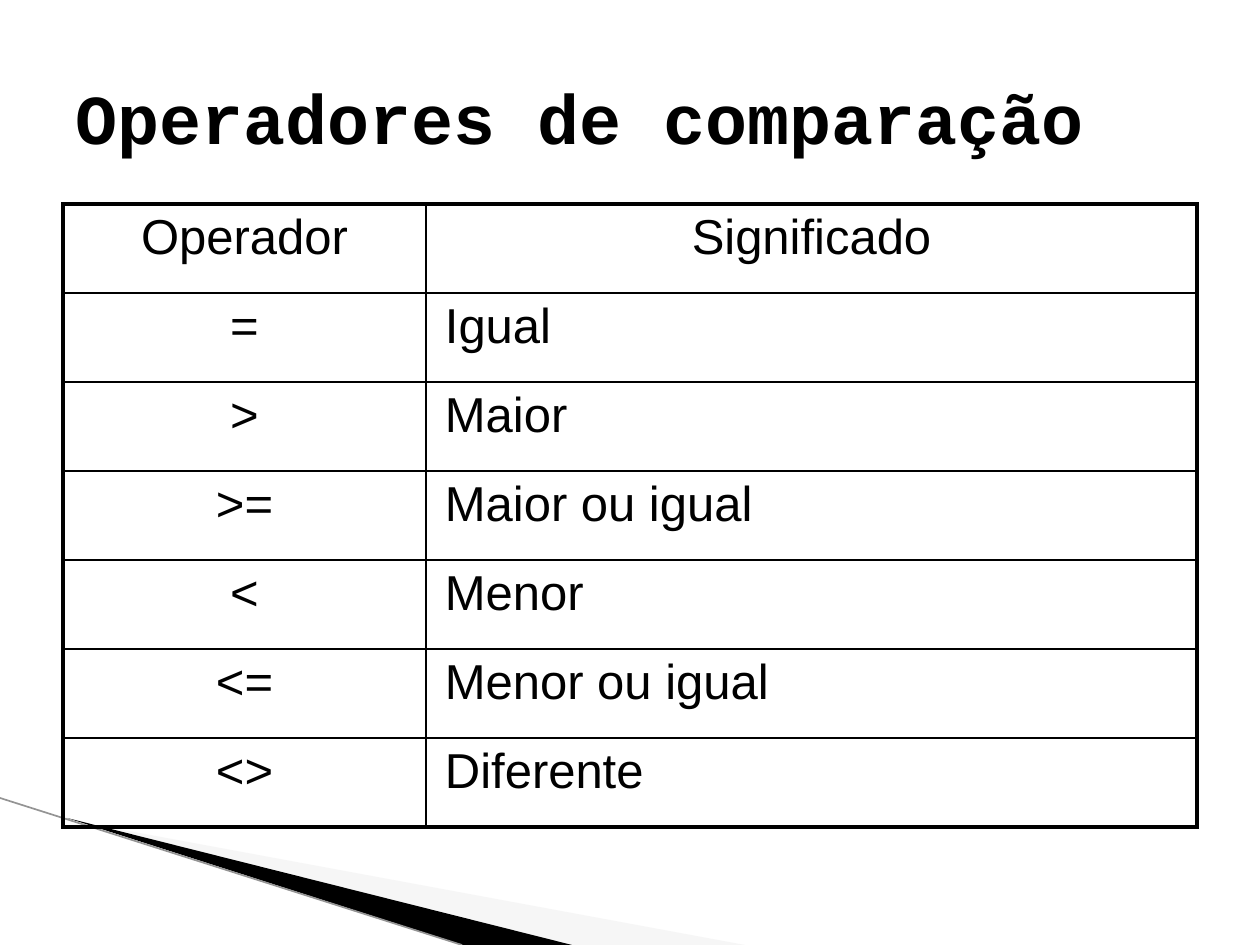
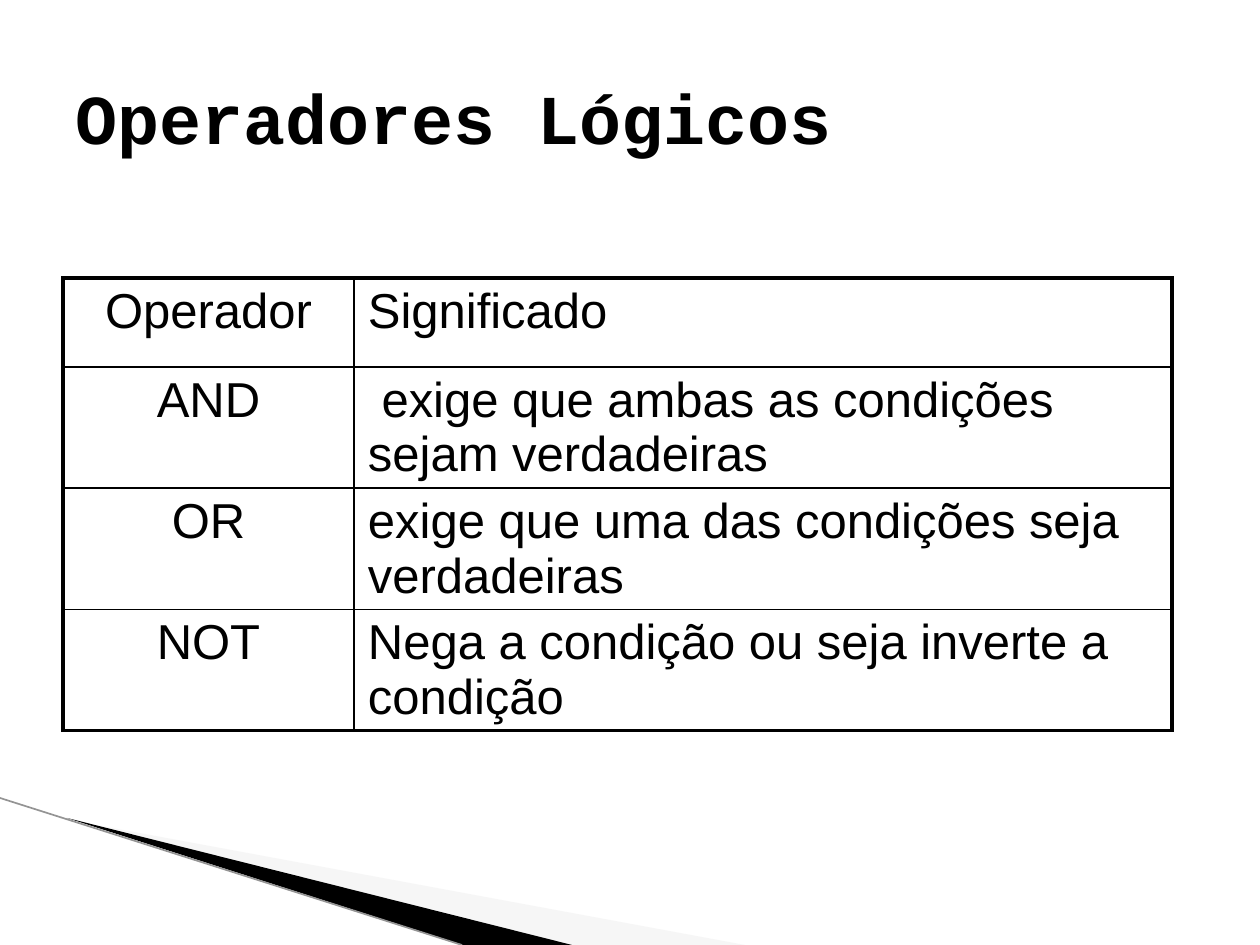
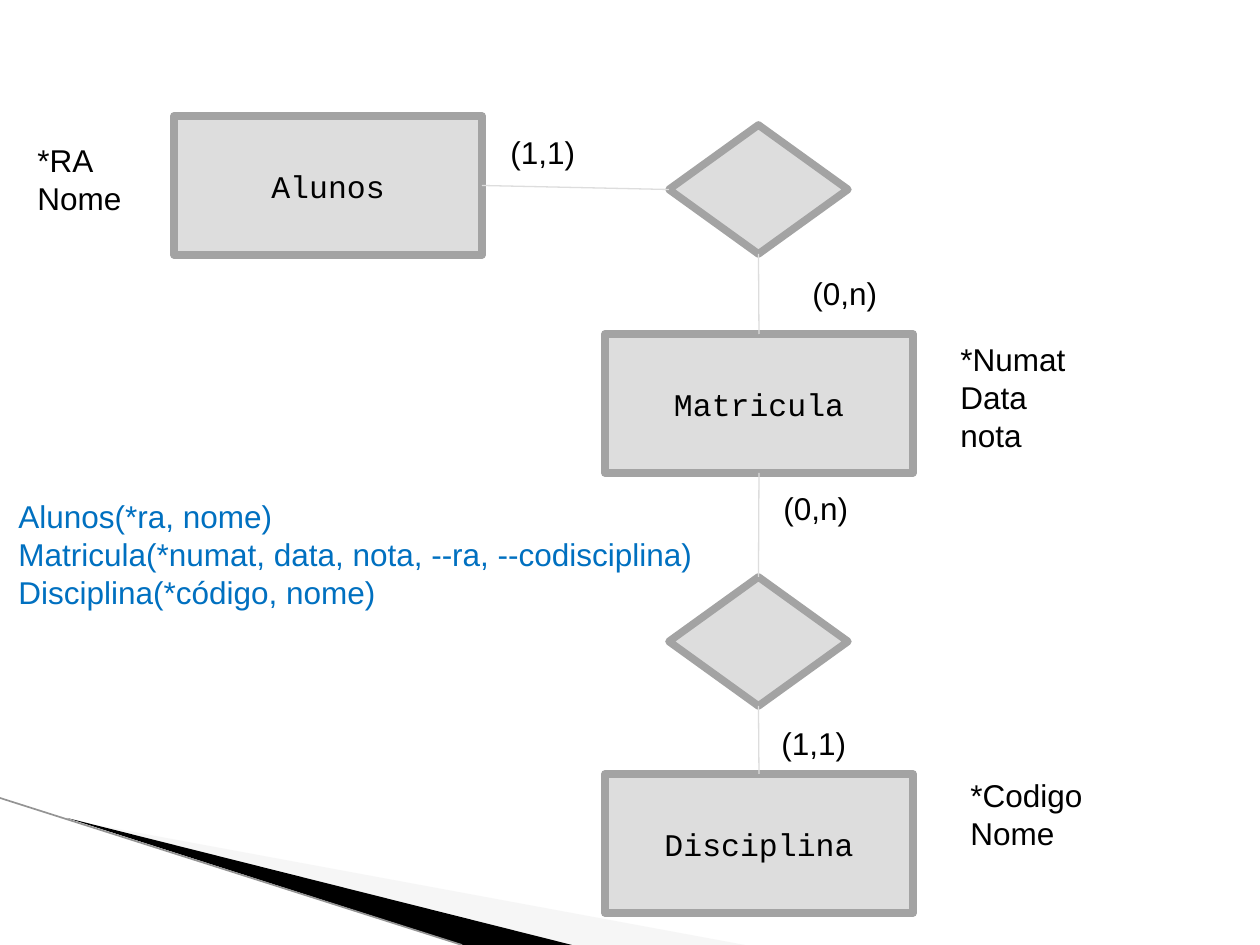
from lxml.etree import SubElement
from pptx import Presentation
from pptx.dml.color import RGBColor
from pptx.enum.shapes import MSO_CONNECTOR, MSO_SHAPE
from pptx.enum.text import MSO_ANCHOR, MSO_AUTO_SIZE, PP_ALIGN
from pptx.oxml import parse_xml
from pptx.oxml.ns import nsdecls, qn
from pptx.util import Pt

PX = 914400 / 126
COLORS = {
    "text": "000000", "schema": "0070C0", "fill": "DDDDDD", "outline": "A3A3A3",
    "link": "DDDDDD", "pale": "EAEAEA", "dark": "000000", "edge": "949494",
}
SANS, MONO = "Arial", "Courier New"
TITLE_BOX = (63, 38, 1134, 158)
ROW_H = 89
TOP, LEFT, BOTTOM, RIGHT = range(4)

BANDS = [
    ("pale", [(69, 820), (745, 945), (570, 945)]),
    ("dark", [(67, 818), (572, 945), (463, 945)]),
]
BAND_EDGE = (0, 798, 462, 945)

TABLES = [
    {
        "title": "Operadores de comparação",
        "at": (63, 204), "cols": (363, 771), "inset": 19, "center_header": True,
        "rows": [
            ("Operador", "Significado"),
            ("=", "Igual"),
            (">", "Maior"),
            (">=", "Maior ou igual"),
            ("<", "Menor"),
            ("<=", "Menor ou igual"),
            ("<>", "Diferente"),
        ],
    },
    {
        "title": "Operadores Lógicos",
        "at": (63, 278), "cols": (291, 818), "inset": 14, "center_header": False,
        "rows": [
            ("Operador", "Significado"),
            ("AND", " exige que ambas as condições sejam verdadeiras"),
            ("OR", "exige que uma das condições seja verdadeiras"),
            ("NOT", "Nega a condição ou seja inverte a condição"),
        ],
    },
]

ENTITY_SIZE, RELATION_SIZE = (308, 139), (179, 129)
ENTITIES = {"Alunos": (174, 116), "Matricula": (605, 334), "Disciplina": (605, 774)}
RELATIONS = {"aluno-matricula": (669, 125), "matricula-disciplina": (669, 577)}
LINKS = [
    ("Alunos", RIGHT, "aluno-matricula", LEFT),
    ("aluno-matricula", BOTTOM, "Matricula", TOP),
    ("Matricula", BOTTOM, "matricula-disciplina", TOP),
    ("matricula-disciplina", BOTTOM, "Disciplina", TOP),
]
LABELS = [
    ("(0,n)", (800, 268, 112, 50), "text"),
    ("(1,1)", (498, 127, 112, 50), "text"),
    ("(1,1)", (769, 718, 112, 50), "text"),
    ("(0,n)", (771, 483, 112, 50), "text"),
    ("*RA\nNome", (25, 135, 118, 89), "text"),
    ("*Numat\nData\nnota", (948, 334, 198, 127), "text"),
    ("*Codigo\nNome", (958, 770, 198, 89), "text"),
    ("Alunos(*ra, nome)\n"
     "Matricula(*numat, data, nota, --ra, --codisciplina)\n"
     "Disciplina(*código, nome)", (6, 491, 714, 127), "schema"),
]


def px(*values):
    return [round(v * PX) for v in values]


def rgb(name):
    return RGBColor.from_string(COLORS[name])


def style_text(tf, font, size, color="text", align=PP_ALIGN.LEFT, bold=False):
    for p in tf.paragraphs:
        p.alignment = align
        for r in p.runs:
            r.font.name, r.font.size, r.font.bold = font, Pt(size), bold
            r.font.color.rgb = rgb(color)


def add_line(slide, ends, color, width):
    line = slide.shapes.add_connector(MSO_CONNECTOR.STRAIGHT, *px(*ends))
    line.line.color.rgb = rgb(color)
    line.line.width = Pt(width)
    SubElement(line.element.spPr, qn("a:effectLst"))
    return line


def move_bands_to_master(prs, slide):
    """Draw the corner bands on a slide, then hand them to the master."""
    parts = []
    for color, (start, *others) in BANDS:
        builder = slide.shapes.build_freeform(*start, scale=PX)
        builder.add_line_segments(others)
        sp = builder.convert_to_shape()
        sp.shadow.inherit = False
        sp.fill.solid()
        sp.fill.fore_color.rgb = rgb(color)
        sp.line.fill.background()
        if color == "pale":
            clr = sp.element.spPr.find(qn("a:solidFill"))[0]
            SubElement(clr, qn("a:alpha"), val="40000")
        parts.append(sp)
    parts.append(add_line(slide, BAND_EDGE, "edge", 0.95))
    tree = prs.slide_master.shapes.element
    for i, part in enumerate(parts):
        part.element.xpath(".//p:cNvPr")[0].set("id", str(100 + i))
        tree.insert(2 + i, part.element)


def set_borders(cell, outer_sides):
    tcPr = cell._tc.get_or_add_tcPr()
    for i, side in enumerate("LRTB"):
        width = Pt(2.25 if side in outer_sides else 1)
        tcPr.insert(i, parse_xml(
            f'<a:ln{side} {nsdecls("a")} w="{width}"><a:solidFill>'
            f'<a:srgbClr val="{COLORS["text"]}"/></a:solidFill></a:ln{side}>'))


def add_table_slide(prs, spec):
    slide = prs.slides.add_slide(prs.slide_layouts[5])
    title = slide.shapes.title
    title.left, title.top, title.width, title.height = px(*TITLE_BOX)
    title.text_frame.text = spec["title"]
    title.text_frame.vertical_anchor = MSO_ANCHOR.MIDDLE
    style_text(title.text_frame, MONO, 40, bold=True)

    rows, cols = spec["rows"], spec["cols"]
    box = px(*spec["at"], sum(cols), ROW_H * len(rows))
    table = slide.shapes.add_table(len(rows), len(cols), *box).table
    table.first_row = table.horz_banding = False
    for column, width in zip(table.columns, cols):
        column.width = px(width)[0]
    for r, row in enumerate(rows):
        table.rows[r].height = px(ROW_H)[0]
        for c, text in enumerate(row):
            cell = table.cell(r, c)
            cell.text_frame.text = text
            cell.margin_left = cell.margin_right = px(spec["inset"])[0]
            cell.margin_top = cell.margin_bottom = px(6)[0]
            centered = c == 0 or (r == 0 and spec["center_header"])
            style_text(cell.text_frame, SANS, 28,
                       align=PP_ALIGN.CENTER if centered else PP_ALIGN.LEFT)
            pPr = cell.text_frame.paragraphs[0]._p.get_or_add_pPr()
            SubElement(SubElement(pPr, qn("a:spcBef")), qn("a:spcPct"), val="20000")
            cell.fill.background()
            outer = "L" if c == 0 else "R"
            outer += "T" if r == 0 else "B" if r == len(rows) - 1 else ""
            set_borders(cell, outer)
    return slide


def add_node(slide, kind, at, size, text=""):
    sp = slide.shapes.add_shape(kind, *px(*at, *size))
    sp.shadow.inherit = False
    sp.fill.solid()
    sp.fill.fore_color.rgb = rgb("fill")
    sp.line.color.rgb = rgb("outline")
    sp.line.width = Pt(4.33)
    if text:
        sp.text_frame.text = text
        sp.text_frame.vertical_anchor = MSO_ANCHOR.MIDDLE
        style_text(sp.text_frame, MONO, 18, align=PP_ALIGN.CENTER)
    return sp


def add_diagram_slide(prs):
    slide = prs.slides.add_slide(prs.slide_layouts[6])
    nodes = {name: add_node(slide, MSO_SHAPE.RECTANGLE, at, ENTITY_SIZE, name)
             for name, at in ENTITIES.items()}
    nodes.update({name: add_node(slide, MSO_SHAPE.DIAMOND, at, RELATION_SIZE)
                  for name, at in RELATIONS.items()})
    for start, start_side, end, end_side in LINKS:
        link = add_line(slide, (0, 0, 0, 0), "link", 0.75)
        link.begin_connect(nodes[start], start_side)
        link.end_connect(nodes[end], end_side)
    for text, box, color in LABELS:
        tf = slide.shapes.add_textbox(*px(*box)).text_frame
        tf.text = text
        tf.word_wrap = True
        tf.auto_size = MSO_AUTO_SIZE.SHAPE_TO_FIT_TEXT
        style_text(tf, SANS, 18, color)


def main():
    prs = Presentation()
    prs.slide_width, prs.slide_height = px(1260, 945)
    table_slides = [add_table_slide(prs, spec) for spec in TABLES]
    move_bands_to_master(prs, table_slides[0])
    add_diagram_slide(prs)
    prs.save("out.pptx")


if __name__ == "__main__":
    main()
